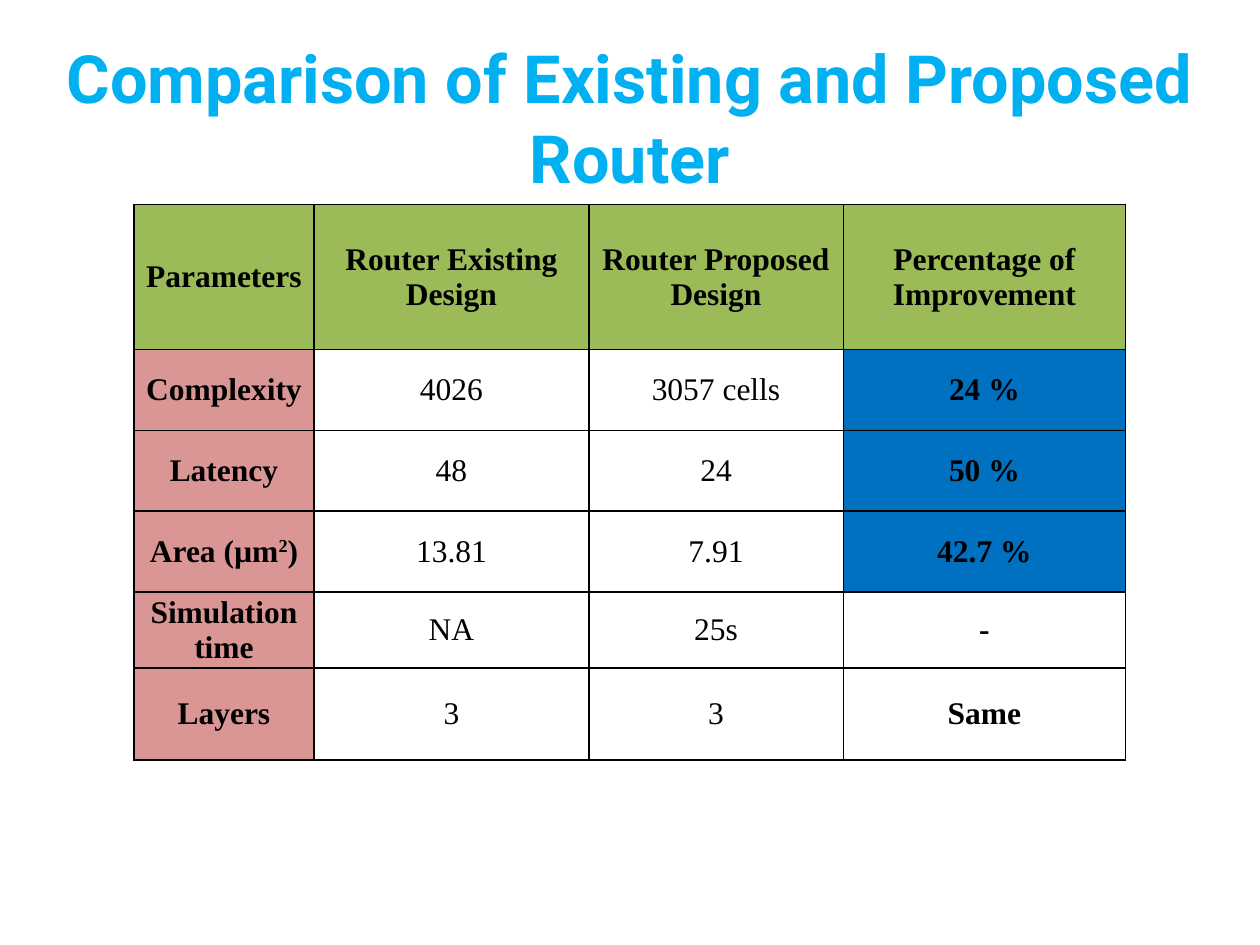
from lxml import etree
from pptx import Presentation
from pptx.dml.color import RGBColor
from pptx.enum import text as t
from pptx.oxml import ns
from pptx.util import Pt

SKY = RGBColor(0x00, 0xB0, 0xF0)
BLACK = RGBColor(0x00, 0x00, 0x00)
GREEN = RGBColor(0x9B, 0xBB, 0x59)
ROSE = RGBColor(0xD9, 0x96, 0x94)
BLUE = RGBColor(0x00, 0x70, 0xC0)


def write(frame, words, size=18, face="Times New Roman", color=BLACK, bold=True):
    """Write centred text; every second part between ^ marks is raised."""
    para = frame.paragraphs[0]
    para.alignment = t.PP_ALIGN.CENTER
    for i, part in enumerate(words.split("^")):
        run = para.add_run()
        run.text = part
        font = run.font
        font.size, font.name, font.bold = Pt(size), face, bold
        font.color.rgb = color
        if i % 2:
            run._r.get_or_add_rPr().set("baseline", "30000")


def border(cell):
    props = cell._tc.get_or_add_tcPr()
    for i, side in enumerate(("lnL", "lnR", "lnT", "lnB")):
        line = etree.Element(ns.qn("a:" + side), w=str(Pt(1)))
        fill = etree.SubElement(line, ns.qn("a:solidFill"))
        etree.SubElement(fill, ns.qn("a:srgbClr"), val=str(BLACK))
        props.insert(i, line)


deck = Presentation()
deck.slide_width, deck.slide_height = Pt(720), Pt(540)
slide = deck.slides.add_slide(deck.slide_layouts[6])

title = slide.shapes.add_textbox(Pt(0), Pt(21.6), Pt(720), Pt(90)).text_frame
title.word_wrap = True
title.vertical_anchor = t.MSO_ANCHOR.MIDDLE
write(title, "Comparison of Existing and Proposed Router",
      size=38, face="Roboto", color=SKY)

rows = [
    ("Parameters", "Router Existing Design", "Router Proposed Design",
     "Percentage of Improvement"),
    ("Complexity", "4026", "3057 cells", "24 %"),
    ("Latency", "48", "24", "50 %"),
    ("Area (µm^2^)", "13.81", "7.91", "42.7 %"),
    ("Simulation time", "NA", "25s", "-"),
    ("Layers", "3", "3", "Same"),
]
widths = [103, 157, 145.4, 161.4]
heights = [83, 46.2, 46.2, 46.2, 43.4, 52.6]

table = slide.shapes.add_table(
    len(rows), len(widths), Pt(76.5), Pt(116.8),
    Pt(sum(widths)), Pt(sum(heights))).table
for col, width in zip(table.columns, widths):
    col.width = Pt(width)
for row, height in zip(table.rows, heights):
    row.height = Pt(height)

for r, row in enumerate(rows):
    for c, words in enumerate(row):
        cell = table.cell(r, c)
        cell.margin_left = cell.margin_right = Pt(0)
        cell.margin_top = cell.margin_bottom = Pt(0)
        cell.vertical_anchor = t.MSO_ANCHOR.MIDDLE
        if r == 0:
            shade = GREEN
        elif c == 0:
            shade = ROSE
        elif words.endswith("%"):
            shade = BLUE
        else:
            shade = None
        if shade is None:
            cell.fill.background()
        else:
            cell.fill.solid()
            cell.fill.fore_color.rgb = shade
        border(cell)
        write(cell.text_frame, words, bold=r == 0 or c in (0, 3))

deck.save("out.pptx")
